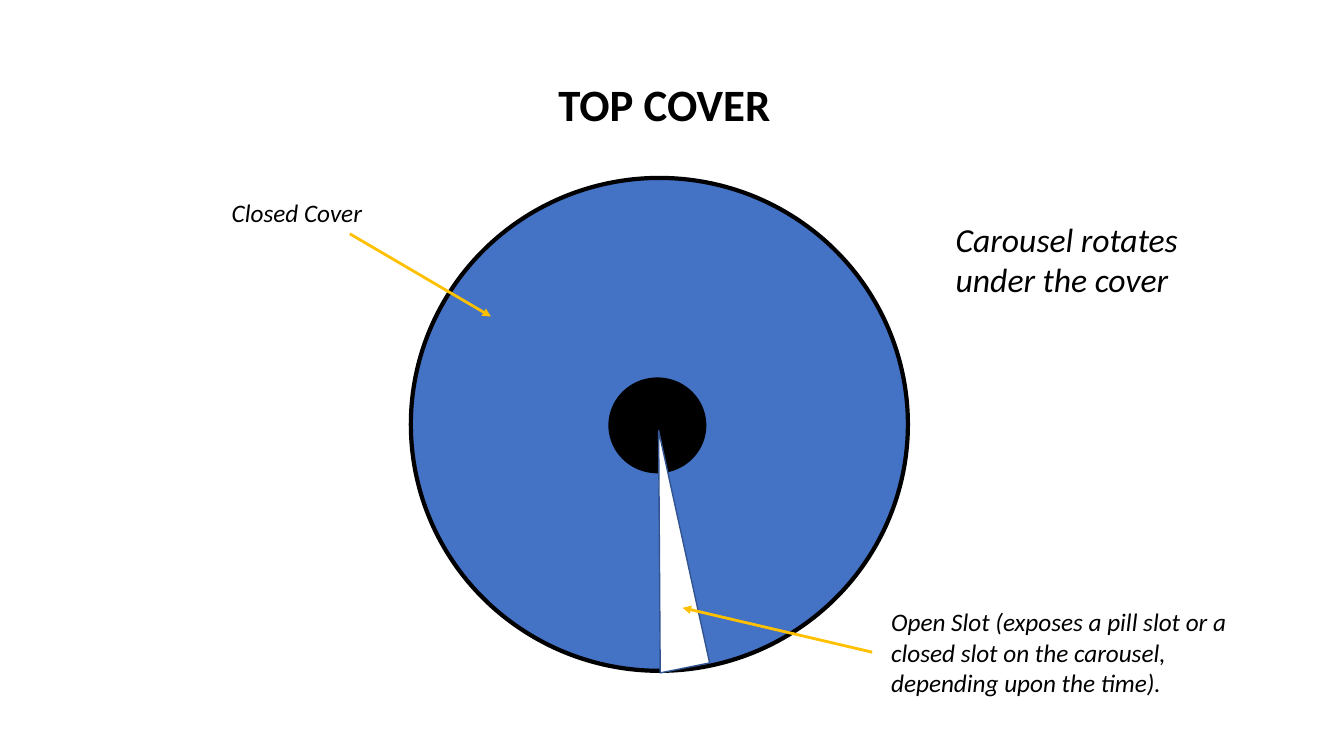
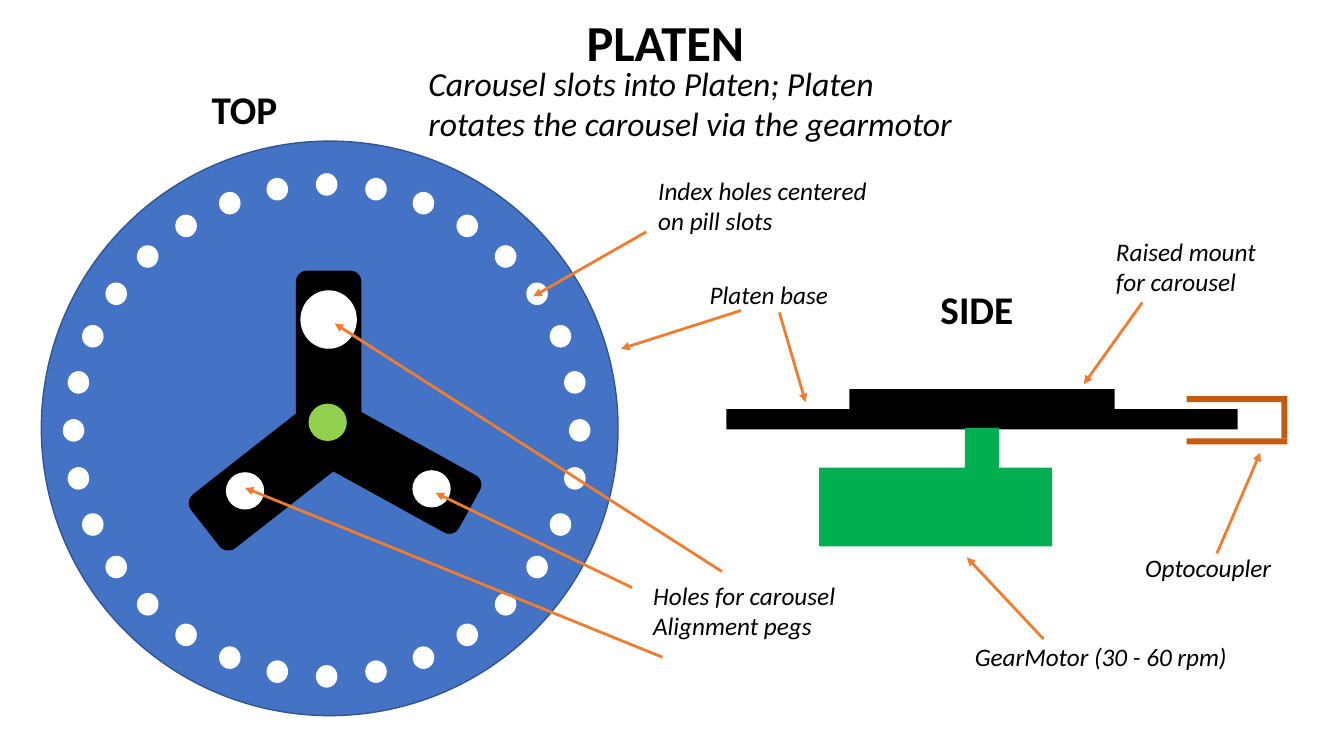
from math import cos, radians, sin

from lxml import etree
from pptx import Presentation
from pptx.dml.color import RGBColor
from pptx.enum.shapes import MSO_CONNECTOR, MSO_SHAPE
from pptx.enum.text import MSO_AUTO_SIZE
from pptx.oxml.ns import qn
from pptx.util import Pt

PX = 9144  # one px is a hundredth of an inch

# Shared style
FONT = "Calibri"
NOTE, LARGE = 18, 24
BLACK = RGBColor(0x00, 0x00, 0x00)
WHITE = RGBColor(0xFF, 0xFF, 0xFF)
BLUE = RGBColor(0x44, 0x72, 0xC4)
NAVY = RGBColor(0x32, 0x54, 0x91)
GOLD = RGBColor(0xFF, 0xC0, 0x00)
ORANGE = RGBColor(0xED, 0x7D, 0x31)
RUST = RGBColor(0xC5, 0x5A, 0x11)
LIME = RGBColor(0x92, 0xD0, 0x50)
GREEN = RGBColor(0x00, 0xB0, 0x50)
OVAL = MSO_SHAPE.OVAL
RECT = MSO_SHAPE.RECTANGLE
ROUND = MSO_SHAPE.ROUNDED_RECTANGLE
WEDGE = MSO_SHAPE.ISOSCELES_TRIANGLE
LINE = MSO_CONNECTOR.STRAIGHT
GROW = MSO_AUTO_SIZE.SHAPE_TO_FIT_TEXT


def draw(slide, kind, center, size, fill, edge=None, width=1, turn=0):
    """Add a filled shape around its center; without edge it has no line."""
    (x, y), (wide, high) = center, size
    box = (x - wide / 2, y - high / 2, wide, high)
    shape = slide.shapes.add_shape(kind, *[round(n * PX) for n in box])
    shape.shadow.inherit = False
    shape.rotation = turn
    shape.fill.solid()
    shape.fill.fore_color.rgb = fill
    if edge is None:
        shape.line.fill.background()
    else:
        shape.line.color.rgb = edge
        shape.line.width = Pt(width)
    return shape


def label(slide, box, text, size, wrap=True, bold=False):
    """Add text in a box: headings are bold, all other labels italic."""
    item = slide.shapes.add_textbox(*[n * PX for n in box])
    frame = item.text_frame
    frame.word_wrap = wrap
    frame.auto_size = GROW
    frame.text = text
    for para in frame.paragraphs:
        para.font.name = FONT
        para.font.size = Pt(size)
        para.font.color.rgb = BLACK
        para.font.bold = bold
        para.font.italic = not bold


deck = Presentation()
deck.slide_width, deck.slide_height = 1333 * PX, 750 * PX
blank = deck.slide_layouts[6]
cover = deck.slides.add_slide(blank)
platen = deck.slides.add_slide(blank)

# Cover: disc, hub and open slot
draw(cover, OVAL, (654, 421), (493, 489), BLUE, BLACK, 3)
draw(cover, OVAL, (652, 422), (93, 91), BLACK, BLACK, 3)
slot = draw(cover, WEDGE, (656, 547), (50, 236), WHITE, NAVY, 1, 348.6)
slot.adjustments[0] = 0.92  # moves the tip towards the right corner

# Platen, top view: base
draw(platen, OVAL, (327, 425), (572, 570), BLUE, NAVY)

# Index holes: evenly spaced on a ring, clockwise from the top
HOLES = 32
RING_X, RING_Y = 324, 427
RAD_X, RAD_Y = 251, 244
for i in range(HOLES):
    angle = radians(360 / HOLES * i)
    spot = (RING_X + RAD_X * sin(angle), RING_Y - RAD_Y * cos(angle))
    draw(platen, OVAL, spot, (20, 21), WHITE, WHITE)

# Mount: each arm is pushed out from the hub along its own angle
HUB_X, HUB_Y = 326, 428
REACH = 67
for turn, size in [(0, (65, 185)), (118.9, (65, 185)), (231.9, (68, 177))]:
    angle = radians(turn)
    spot = (HUB_X + REACH * sin(angle), HUB_Y - REACH * cos(angle))
    draw(platen, ROUND, spot, size, BLACK, turn=turn)

# Peg holes, one large and two small, and the axle
SMALL = (38, 37)
for spot, size, fill in [
    ((326, 317), (56, 58), WHITE),
    ((428, 485), SMALL, WHITE),
    ((243, 487), SMALL, WHITE),
    ((325, 419), SMALL, LIME),
]:
    draw(platen, OVAL, spot, size, fill)

# Side view: mount stacked on base, shaft and motor below
for spot, size, fill in [
    ((974, 416), (507, 20), BLACK),  # base
    ((974, 396), (263, 20), BLACK),  # mount
    ((928, 503), (231, 78), GREEN),  # motor
    ((974, 446), (34, 43), GREEN),  # shaft
]:
    draw(platen, RECT, spot, size, fill)

# Optocoupler: two jaws joined by a bar at their right end
JAW, THICK = 100, 6
OPTO_X, OPTO_Y, GAP = 1227, 417, 42
for side in (-1, 1):
    spot = (OPTO_X, OPTO_Y + side * GAP / 2)
    draw(platen, RECT, spot, (JAW, THICK), RUST)
joint = (OPTO_X + (JAW - THICK) / 2, OPTO_Y)
draw(platen, RECT, joint, (THICK, GAP - THICK), RUST)

# Headings: slide, box, text, size, wrap
for slide, box, text, size, wrap in [
    (cover, (544, 71, 246, 64), "TOP COVER", 32, True),
    (platen, (572, 6, 178, 71), "PLATEN", 36, False),
    (platen, (200, 80, 86, 57), "TOP", 28, False),
    (platen, (923, 278, 93, 57), "SIDE", 28, False),
]:
    label(slide, box, text, size, wrap, bold=True)

# Notes and part names: slide, box, text, size, wrap
for slide, box, text, size, wrap in [
    (cover, (874, 597, 364, 101),
     "Open Slot (exposes a pill slot or a closed slot on the carousel, "
     "depending upon the time).", NOTE, True),
    (cover, (220, 191, 151, 40), "Closed Cover", NOTE, False),
    (cover, (938, 212, 255, 91),
     "Carousel rotates under the cover", LARGE, True),
    (platen, (957, 631, 273, 40), "GearMotor (30 - 60 rpm)", NOTE, False),
    (platen, (1126, 543, 146, 40), "Optocoupler", NOTE, False),
    (platen, (643, 169, 241, 71),
     "Index holes centered on pill slots", NOTE, True),
    (platen, (638, 571, 203, 71),
     "Holes for carousel\nAlignment pegs", NOTE, False),
    (platen, (1097, 229, 179, 71), "Raised mount for carousel", NOTE, True),
    (platen, (694, 272, 179, 40), "Platen base", NOTE, True),
    (platen, (415, 57, 544, 91),
     "Carousel slots into Platen; Platen rotates the carousel via the "
     "gearmotor", LARGE, True),
]:
    label(slide, box, text, size, wrap)

# Arrows from each name to its part: start, then tip
COVER_ENDS = [
    ((347, 232), (487, 314)),  # closed cover
    ((865, 647), (677, 603)),  # open slot
]
PLATEN_ENDS = [
    ((1035, 634), (959, 553)),  # motor
    ((1207, 549), (1250, 449)),  # optocoupler
    ((641, 230), (529, 294)),  # index hole
    ((716, 567), (332, 321)),  # top peg hole
    ((657, 652), (243, 484)),  # left peg hole
    ((627, 583), (432, 489)),  # right peg hole
    ((1133, 300), (1075, 381)),  # mount
    ((773, 310), (799, 399)),  # base, side view
    ((735, 308), (616, 346)),  # base, top view
]
for slide, color, ends in [
    (cover, GOLD, COVER_ENDS),
    (platen, ORANGE, PLATEN_ENDS),
]:
    for start, tip in ends:
        points = [n * PX for n in start + tip]
        arrow = slide.shapes.add_connector(LINE, *points)
        arrow.line.color.rgb = color
        arrow.line.width = Pt(2)
        props = arrow.element.spPr
        head = etree.SubElement(props.find(qn("a:ln")), qn("a:tailEnd"))
        head.set("type", "triangle")
        etree.SubElement(props, qn("a:effectLst"))

deck.save("out.pptx")
